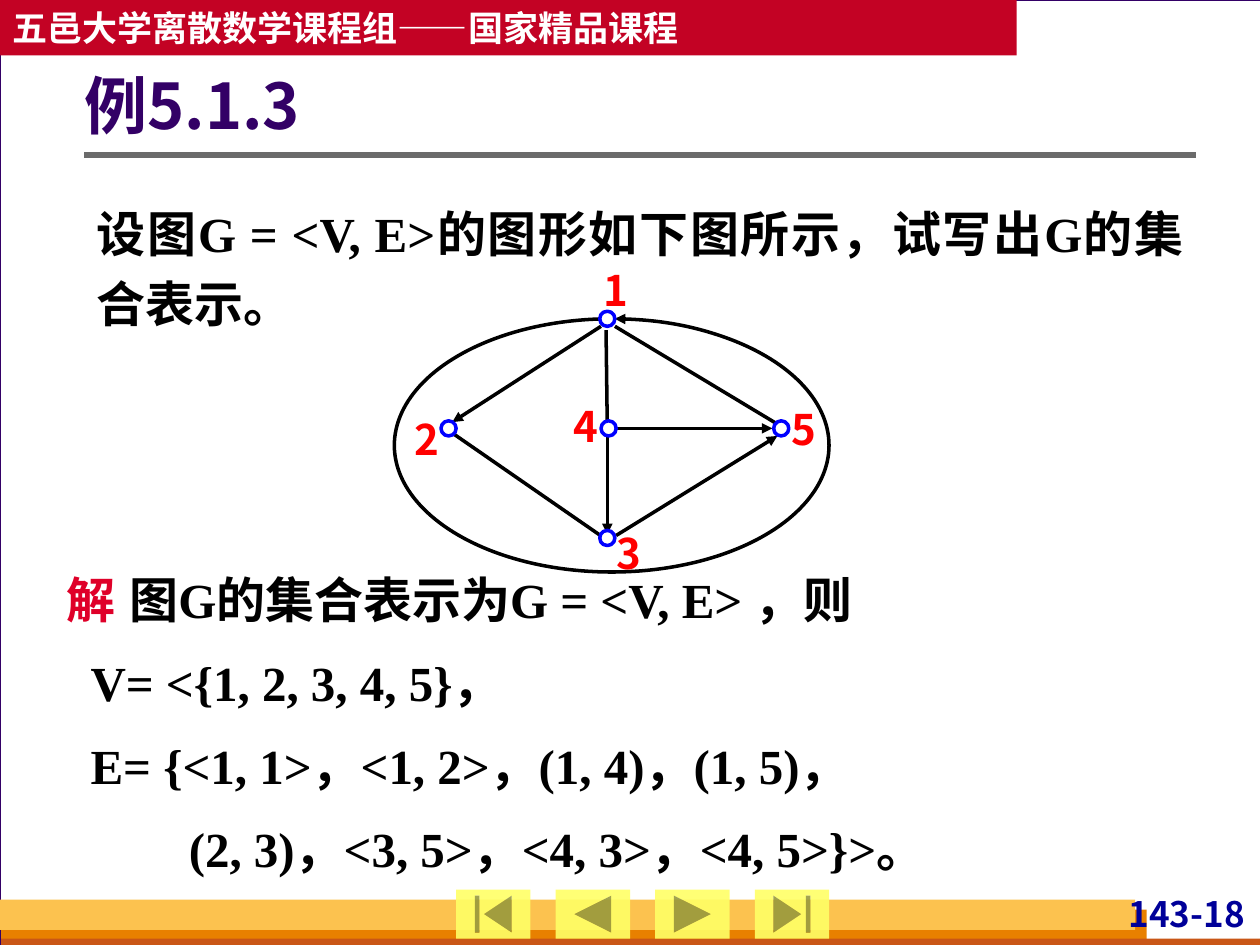
from lxml.etree import SubElement
from pptx import Presentation
from pptx.dml.color import RGBColor
from pptx.enum.shapes import MSO_CONNECTOR, MSO_SHAPE as Shape
from pptx.enum.text import MSO_ANCHOR as Anchor, PP_ALIGN as Align
from pptx.oxml.ns import qn
from pptx.util import Pt

PX = 9144  # EMU per px, 100 px to the inch
SANS, SERIF = "Noto Sans CJK SC", "Times New Roman"
COLORS = {
    "page": "D8DADA", "white": "FFFFFF", "black": "000000", "purple": "330066",
    "banner": "C30224", "amber": "FCC24F", "orange": "E88000", "rust": "C95616",
    "button": "FFFF66", "gray": "6B6B6B", "navy": "000099", "red": "FF0000",
    "crimson": "DF0029", "blue": "0000FF",
}


def color(name):
    return RGBColor.from_string(COLORS[name])


def emu(*lengths):
    return [round(length * PX) for length in lengths]


def write(frame, paragraphs, size=28, font=SERIF, fill="black", align=Align.LEFT,
          spacing=None, before=0, anchor=Anchor.TOP, insets=(10, 5, 10, 5), wrap=True):
    """Each paragraph is (indent px, tab px or None, [(text, colour or None)])."""
    frame.word_wrap = wrap
    frame.vertical_anchor = anchor
    (frame.margin_left, frame.margin_top,
     frame.margin_right, frame.margin_bottom) = emu(*insets)
    for number, (indent, tab, runs) in enumerate(paragraphs):
        paragraph = frame.add_paragraph() if number else frame.paragraphs[0]
        properties = paragraph._p.get_or_add_pPr()
        properties.set("marL", str(indent * PX))
        properties.set("indent", "0")
        if tab:
            tabs = SubElement(properties, qn("a:tabLst"))
            SubElement(tabs, qn("a:tab"), pos=str(tab * PX), algn="l")
        paragraph.alignment = align
        if spacing:
            paragraph.line_spacing = spacing
        paragraph.space_before = Pt(before if number else 0)
        for text, run_fill in runs:
            run = paragraph.add_run()
            run.text = text
            run.font.size, run.font.bold, run.font.name = Pt(size), True, font
            run.font.color.rgb = color(run_fill or fill)
            SubElement(run._r.get_or_add_rPr(), qn("a:ea"), typeface=SANS)


def line_of(text):
    return [(0, None, [(text, None)])]


class SlideBuilder:
    def __init__(self, slide):
        self.slide = slide
        self.shapes = slide.shapes

    def background(self, fill):
        self.slide.background.fill.solid()
        self.slide.background.fill.fore_color.rgb = color(fill)

    def title(self, box, text, **style):
        heading = self.shapes.title
        heading.left, heading.top, heading.width, heading.height = emu(*box)
        self.shapes._spTree.append(heading._element)  # in front of the page
        write(heading.text_frame, line_of(text), **style)

    def text(self, box, paragraphs, **style):
        write(self.shapes.add_textbox(*emu(*box)).text_frame, paragraphs, **style)

    def shape(self, kind, box, fill=None, line=None, width=2, alpha=None):
        item = self.shapes.add_shape(kind, *emu(*box))
        item.shadow.inherit = False
        if fill:
            item.fill.solid()
            item.fill.fore_color.rgb = color(fill)
            if alpha:
                tint = item.fill._xPr.find(".//" + qn("a:srgbClr"))
                SubElement(tint, qn("a:alpha"), val=str(alpha * 1000))
        else:
            item.fill.background()
        if line:
            item.line.color.rgb = color(line)
            item.line.width = Pt(width)
        else:
            item.line.fill.background()
        return item

    def line(self, ends, fill="black", width=2, arrow=False):
        item = self.shapes.add_connector(MSO_CONNECTOR.STRAIGHT, *emu(*ends))
        item.line.color.rgb = color(fill)
        item.line.width = Pt(width)
        if arrow:
            self.arrowhead(item, "a:tailEnd")
        SubElement(item._element.spPr, qn("a:effectLst"))

    def arrowhead(self, item, end):
        SubElement(item.line._get_or_add_ln(), qn(end), type="triangle")

    def loop(self, box, start, end):
        arc = self.shape(Shape.ARC, box, line="black")
        # Angles are kept in 60000ths of a degree, adjustments in 100000ths
        arc.adjustments[0], arc.adjustments[1] = start * 0.6, end * 0.6
        self.arrowhead(arc, "a:headEnd")


def main():
    deck = Presentation()
    deck.slide_width, deck.slide_height = emu(1000, 750)
    page = SlideBuilder(deck.slides.add_slide(deck.slide_layouts[5]))

    # Page, banner and footer bands
    page.background("page")
    page.shape(Shape.RECTANGLE, (0, 0, 1001, 750), "white", "purple", 0.75)
    banner = page.shape(Shape.RECTANGLE, (0, 0, 807, 44), "banner")
    write(banner.text_frame, line_of("五邑大学离散数学课程组——国家精品课程"), size=20,
          font=SANS, fill="white", anchor=Anchor.MIDDLE, wrap=False)
    for box, fill in (((1, 722, 909, 28), "orange"), ((1, 745, 1000, 8), "rust"),
                      ((0, 714, 901, 24), "amber")):
        page.shape(Shape.RECTANGLE, box, fill)
    page.text((870, 708, 122, 33), line_of("143-18"), size=20, font=SANS,
              fill="navy", align=Align.RIGHT, insets=(4, 0, 4, 0))
    page.line((67, 123, 949, 123), "gray", 3)

    # Navigation buttons
    buttons = (Shape.ACTION_BUTTON_BEGINNING, Shape.ACTION_BUTTON_BACK_OR_PREVIOUS,
               Shape.ACTION_BUTTON_FORWARD_OR_NEXT, Shape.ACTION_BUTTON_END)
    for column, button in enumerate(buttons):
        page.shape(button, (362 + 79 * column, 706, 59, 39), "button", alpha=90)

    # Title and problem
    page.title((67, 36, 882, 101), "例5.1.3", size=36, font=SANS, fill="purple",
               spacing=0.9, anchor=Anchor.MIDDLE, insets=(0, 5, 10, 5))
    page.text((67, 147, 882, 122),
              line_of("设图G = <V, E>的图形如下图所示，试写出G的集合表示。"),
              align=Align.JUSTIFY, spacing=1.2)

    # Graph edges: ends, directed or not
    edges = (
        ((488, 259, 616, 336), False),  # 1 - 5
        ((481, 262, 482, 339), False),  # 1 - 4
        ((358, 343, 478, 426), False),  # 2 - 3
        ((477, 259, 359, 335), True),   # 1 to 2
        ((482, 347, 482, 424), True),   # 4 to 3
        ((489, 425, 617, 346), True),   # 3 to 5
        ((489, 340, 613, 340), True),   # 4 to 5
    )
    for ends, directed in edges:
        page.line(ends, arrow=directed)
    page.loop((313, 253, 345, 201), 271.4, 267.4)

    # Graph nodes: label, node corner, label corner
    nodes = (("1", (476, 247), (479, 210)), ("2", (350, 334), (329, 328)),
             ("3", (476, 421), (489, 419)), ("4", (477, 334), (455, 318)),
             ("5", (614, 334), (628, 320)))
    for label, node, corner in nodes:
        page.shape(Shape.OVAL, (*node, 12, 12), "white", "blue")
        page.text((*corner, 16, 40), line_of(label), size=24, font=SANS, fill="red",
                  align=Align.CENTER, insets=(0, 0, 0, 0))

    # Solution
    solution = [
        (0, 56, [("解", "crimson"), ("\t图G的集合表示为G = <V, E> ，则", None)]),
        (19, None, [("V= <{1, 2, 3, 4, 5}，", None)]),
        (19, None, [("E= {<1, 1>，<1, 2>，(1, 4)，(1, 5)，", None)]),
        (97, None, [("(2, 3)，<3, 5>，<4, 3>，<4, 5>}>。", None)]),
    ]
    page.text((43, 438, 945, 264), solution, align=Align.JUSTIFY, spacing=1.2, before=7)

    deck.save("out.pptx")


if __name__ == "__main__":
    main()
